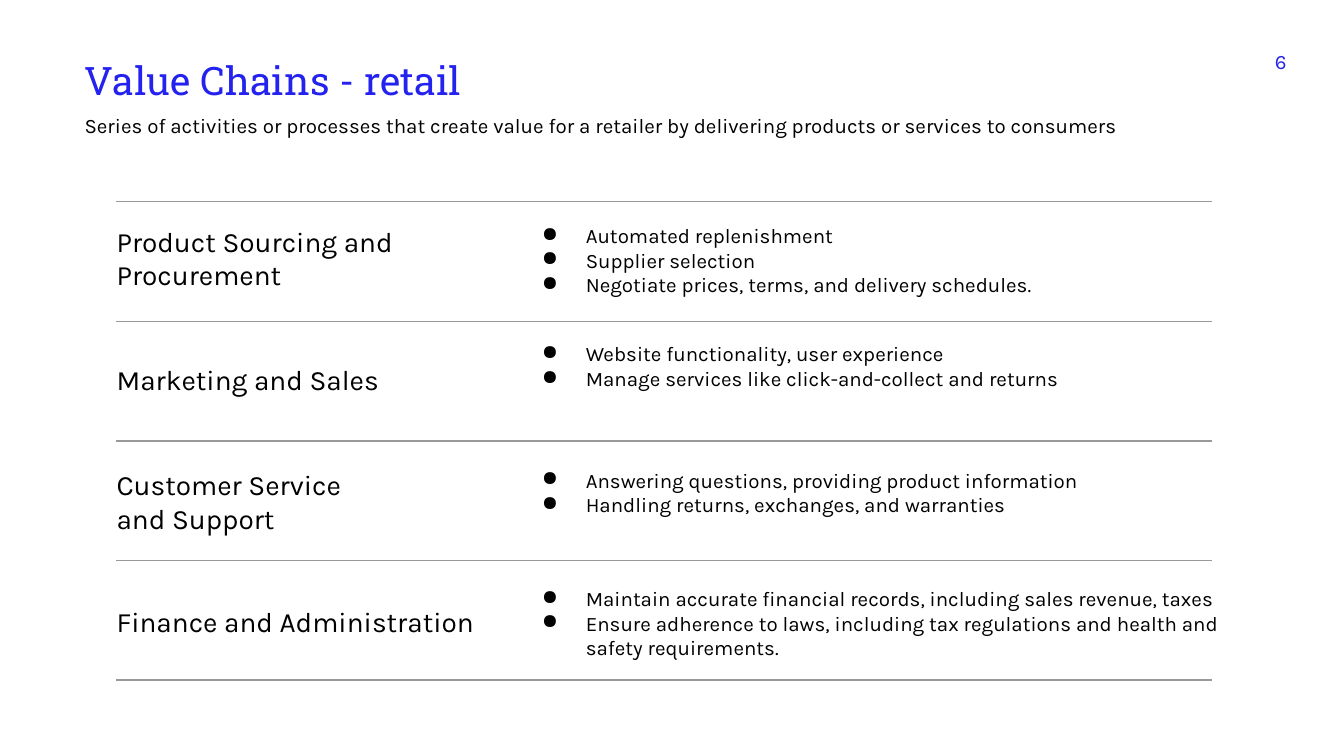
from pptx import Presentation
from pptx.dml.color import RGBColor
from pptx.enum.shapes import MSO_CONNECTOR
from pptx.enum.text import MSO_ANCHOR, PP_ALIGN
from pptx.oxml.xmlchemy import OxmlElement
from pptx.util import Pt

COLORS = {"text": "000000", "accent": "2322EF", "rule": "999999"}
INSET = 7.2

deck = Presentation()
deck.slide_width, deck.slide_height = Pt(720), Pt(405)
slide = deck.slides.add_slide(deck.slide_layouts[6])


def add_text(text, left, top, width, height, size=11, font="Karla",
             color="text", align=PP_ALIGN.LEFT, bullet=None):
    """Add a text box with one paragraph for each line of text."""
    frame = slide.shapes.add_textbox(
        Pt(left), Pt(top), Pt(width), Pt(height)).text_frame
    frame.word_wrap = True
    frame.vertical_anchor = MSO_ANCHOR.TOP
    frame.margin_left = frame.margin_right = Pt(INSET)
    frame.margin_top = frame.margin_bottom = Pt(INSET)
    frame.text = text
    for paragraph in frame.paragraphs:
        paragraph.alignment = align
        run_font = paragraph.runs[0].font
        run_font.name, run_font.size = font, Pt(size)
        run_font.color.rgb = RGBColor.from_string(COLORS[color])
        if bullet:
            properties = paragraph._p.get_or_add_pPr()
            properties.set("marL", str(Pt(36)))
            properties.set("indent", str(-Pt(23.5)))
            mark = OxmlElement("a:buChar")
            mark.set("char", bullet)
            properties.append(mark)


add_text("Value Chains - retail", 38.2, 23, 411, 27,
         size=21, font="Roboto Slab", color="accent")
add_text("Series of activities or processes that create value for a retailer "
         "by delivering products or services to consumers", 38.2, 54, 628, 30)
add_text("6", 668.9, 19.4, 27.4, 14, color="accent", align=PP_ALIGN.RIGHT)

# Activity, label width and offset below its rule, examples and their offset
activities = [
    ("Product Sourcing and Procurement", 191, 5,
     ["Automated replenishment", "Supplier selection",
      "Negotiate prices, terms, and delivery schedules."], 4.3),
    ("Marketing and Sales", 160.6, 15.1,
     ["Website functionality, user experience",
      "Manage services like click-and-collect and returns"], 3.6),
    ("Customer Service and Support", 160.6, 7.2,
     ["Answering questions, providing product information",
      "Handling returns, exchanges, and warranties"], 7.2),
    ("Finance and Administration", 226, 16.5,
     ["Maintain accurate financial records, including sales revenue, taxes",
      "Ensure adherence to laws, including tax regulations and health and "
      "safety requirements."], 6.4),
]
FIRST_RULE, ROW_STEP = 108, 64.1

for row, (activity, label_width, label_offset, examples,
          examples_offset) in enumerate(activities):
    row_top = FIRST_RULE + row * ROW_STEP
    add_text(activity, 55.4, row_top + label_offset, label_width, 30, size=15)
    add_text("\n".join(examples), 270.7, row_top + examples_offset, 398, 55,
             bullet="●")

for row in range(len(activities) + 1):
    rule_y = Pt(FIRST_RULE + row * ROW_STEP)
    rule = slide.shapes.add_connector(
        MSO_CONNECTOR.STRAIGHT, Pt(62.4), rule_y, Pt(649.4), rule_y)
    rule.line.color.rgb = RGBColor.from_string(COLORS["rule"])
    rule.line.width = Pt(0.75)
    rule._element.spPr.append(OxmlElement("a:effectLst"))

deck.save("out.pptx")
